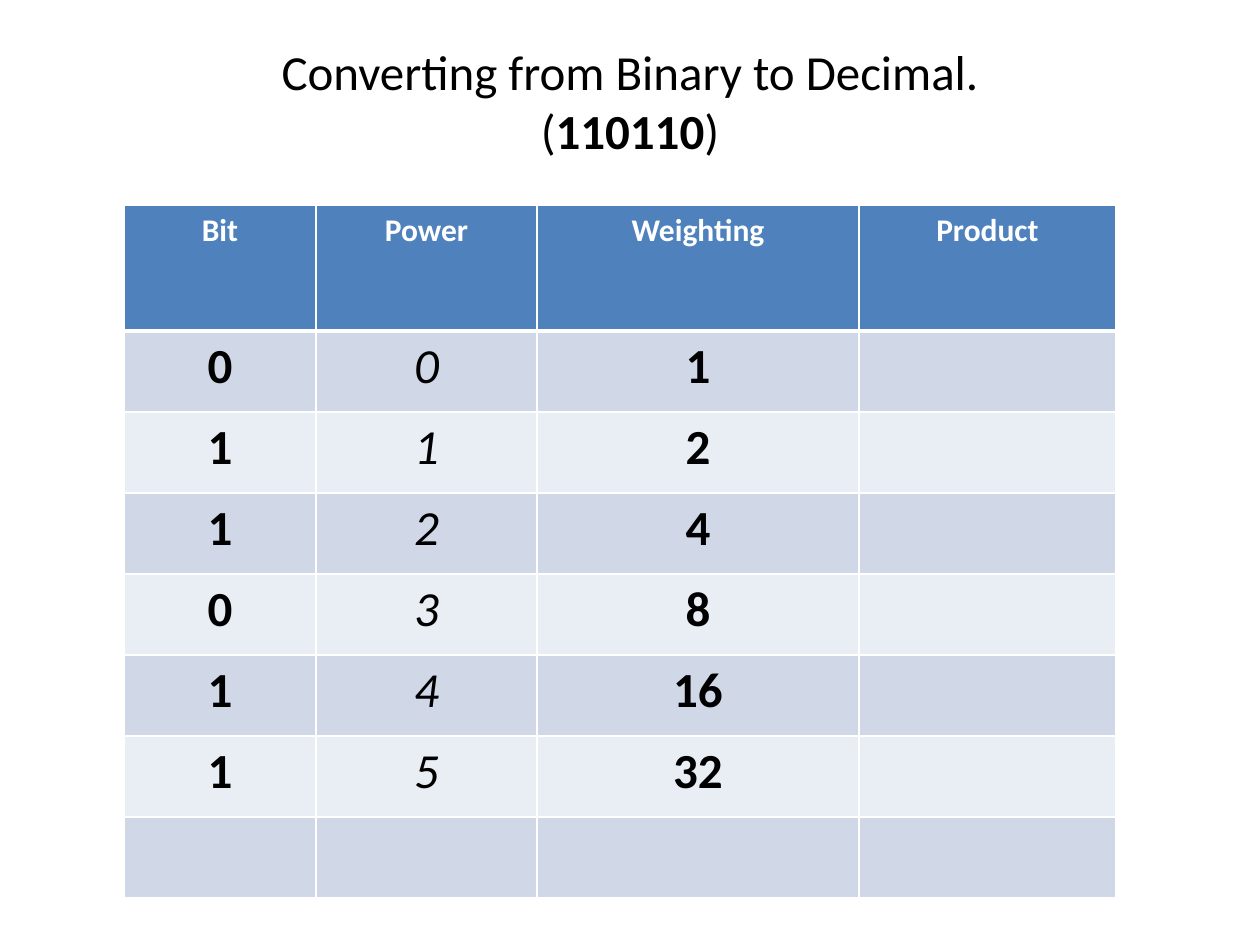
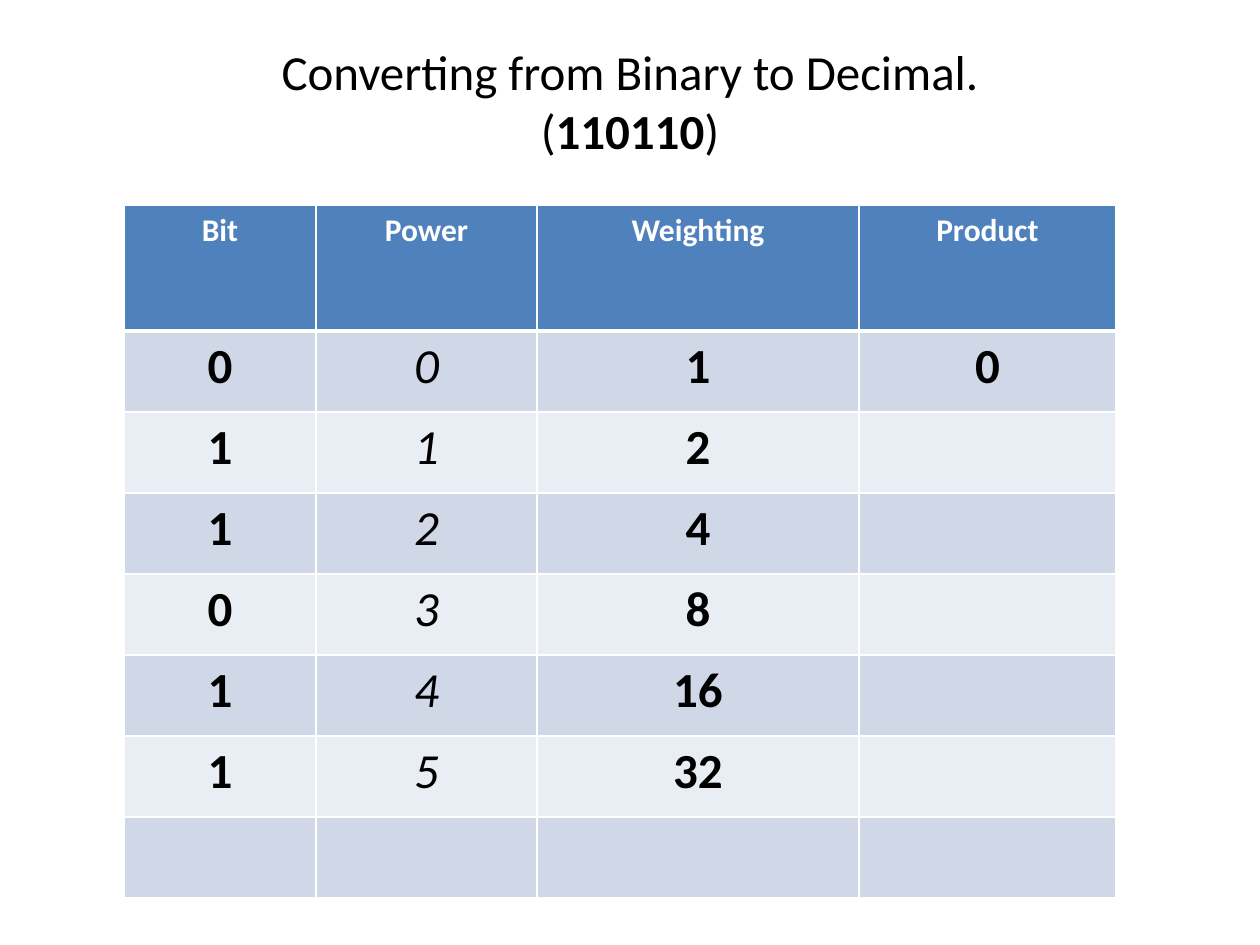
from lxml.etree import SubElement
from pptx import Presentation
from pptx.dml.color import RGBColor
from pptx.enum.text import MSO_ANCHOR, MSO_AUTO_SIZE, PP_ALIGN
from pptx.oxml.ns import qn
from pptx.util import Emu, Pt

# Shared look
PX_PER_INCH = 126
FONT = "Calibri"
BLACK, WHITE = "000000", "FFFFFF"
HEADER_FILL = "4F81BD"
BANDS = ("D0D8E8", "E9EDF4")

# Shared layout in px: left, top, width, height
TITLE_BOX = (63, 38, 1134, 124)
GRID_ORIGIN = (124, 205)
COLUMN_WIDTHS = (192, 221, 322, 257)
HEADER_HEIGHT, ROW_HEIGHT = 126, 81

# Shared content
BINARY = "110110"
HEADINGS = ("Bit", "Power", "Weighting", "Product")
POWER_COLUMN = HEADINGS.index("Power")


def px(length):
    return Emu(round(length * 914400 / PX_PER_INCH))


def color(hex_string):
    return RGBColor.from_string(hex_string)


def style(font, size, hex_color, bold=False, italic=False):
    font.name, font.size = FONT, Pt(size)
    font.bold, font.italic = bold, italic
    font.color.rgb = color(hex_color)


def set_borders(cell, top, bottom):
    """Draw white borders; top and bottom widths are in points."""
    properties = cell._tc.get_or_add_tcPr()
    for side, width in (("L", 1), ("R", 1), ("T", top), ("B", bottom)):
        line = SubElement(properties, qn(f"a:ln{side}"), w=str(Pt(width)))
        fill = SubElement(line, qn("a:solidFill"))
        SubElement(fill, qn("a:srgbClr"), val=WHITE)


def add_title(slide, box):
    title = slide.shapes.title
    title.left, title.top, title.width, title.height = map(px, box)
    frame = title.text_frame
    frame.auto_size = MSO_AUTO_SIZE.NONE
    frame.vertical_anchor = MSO_ANCHOR.MIDDLE
    heading = frame.paragraphs[0]
    heading.alignment = PP_ALIGN.CENTER
    style(heading.font, 28, BLACK)
    heading.add_run().text = "Converting from Binary to Decimal."
    heading.add_line_break()
    for text, bold in (("(", False), (BINARY, True), (")", False)):
        part = heading.add_run()
        part.text = text
        part.font.bold = bold


def conversion_rows(products):
    """List the bits from the lowest power up, then an empty total row."""
    rows = [HEADINGS]
    for power, bit in enumerate(reversed(BINARY)):
        product = products[power] if power < len(products) else ""
        rows.append((bit, power, 2 ** power, product))
    return rows + [("",) * len(HEADINGS)]


def add_conversion_table(slide, origin, products):
    rows = conversion_rows(products)
    heights = [HEADER_HEIGHT] + [ROW_HEIGHT] * (len(rows) - 1)
    box = (*origin, sum(COLUMN_WIDTHS), sum(heights))
    table = slide.shapes.add_table(len(rows), len(HEADINGS), *map(px, box)).table
    for column, width in zip(table.columns, COLUMN_WIDTHS):
        column.width = px(width)
    for row, height in zip(table.rows, heights):
        row.height = px(height)

    for r, values in enumerate(rows):
        is_header = r == 0
        for c, value in enumerate(values):
            cell = table.cell(r, c)
            set_borders(cell, top=3 if r == 1 else 1, bottom=3 if is_header else 1)
            cell.fill.solid()
            cell.fill.fore_color.rgb = color(HEADER_FILL if is_header else BANDS[(r - 1) % 2])
            cell.text = str(value)
            entry = cell.text_frame.paragraphs[0]
            entry.alignment = PP_ALIGN.CENTER
            if is_header:
                style(entry.font, 18, WHITE, bold=True)
            else:
                is_power = c == POWER_COLUMN
                style(entry.font, 28, BLACK, bold=not is_power, italic=is_power)


def add_conversion_slide(deck, products):
    slide = deck.slides.add_slide(deck.slide_layouts.get_by_name("Title Only"))
    add_title(slide, TITLE_BOX)
    add_conversion_table(slide, GRID_ORIGIN, products)


def main():
    deck = Presentation()
    deck.slide_width, deck.slide_height = px(1260), px(945)
    # Each slide reveals the products worked out so far
    for products in ((), (0,)):
        add_conversion_slide(deck, products)
    deck.save("out.pptx")


if __name__ == "__main__":
    main()
